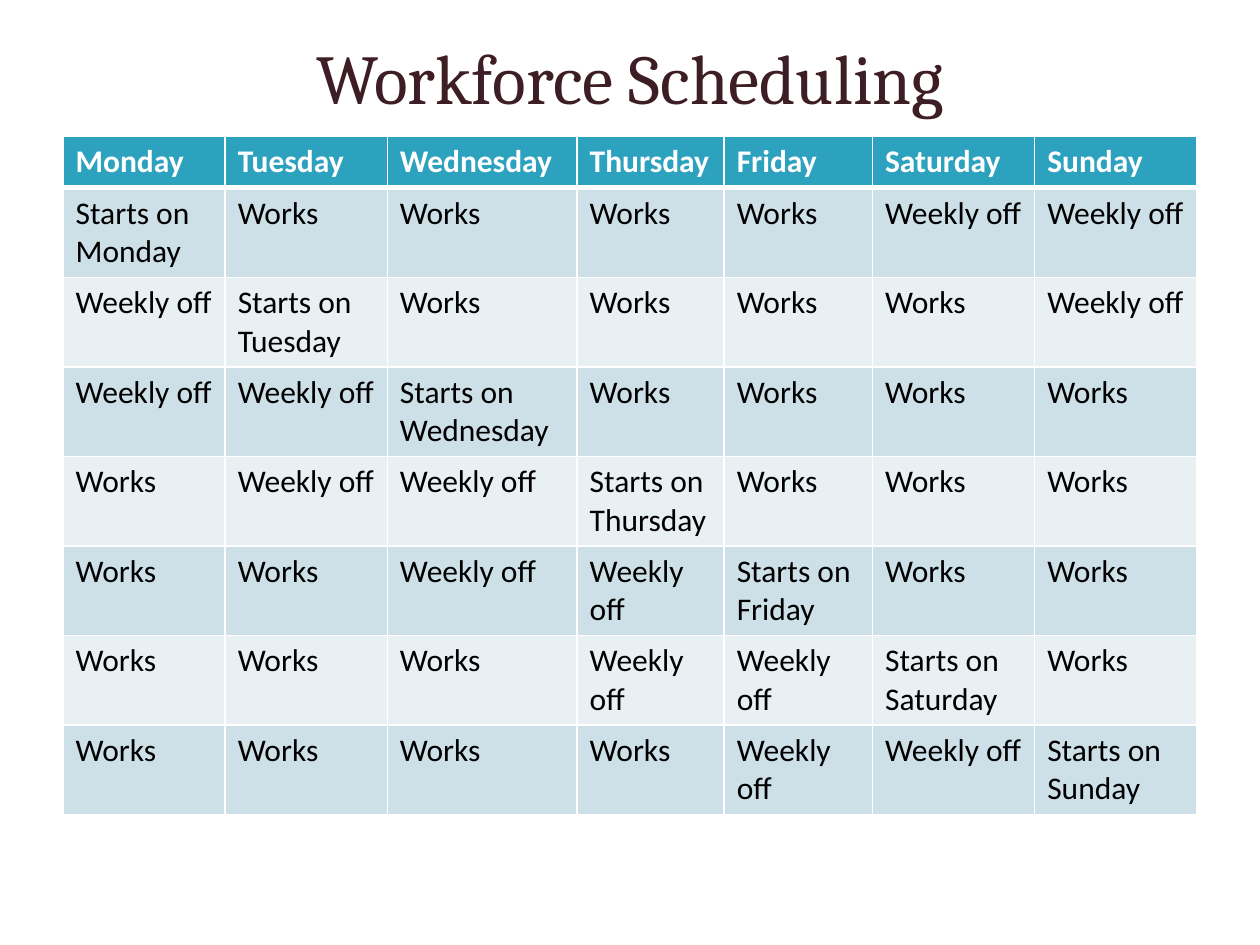
import lxml.etree
import pptx
import pptx.dml.color
import pptx.enum.text
import pptx.oxml.ns
import pptx.util

Inches = pptx.util.Inches
Pt = pptx.util.Pt

DAYS = ["Monday", "Tuesday", "Wednesday", "Thursday", "Friday", "Saturday", "Sunday"]
DAY_WIDTHS = [1.29, 1.29, 1.51, 1.17, 1.18, 1.29, 1.29]
ROW_HEIGHT = 0.41
HEADER_FILL = "2DA2BF"
BAND_FILLS = ["CDE0E8", "E8F0F4"]
WHITE = "FFFFFF"


def color(hex_value):
    return pptx.dml.color.RGBColor.from_string(hex_value)


def add_run(paragraph, text, font_name, size, hex_value, bold=False):
    run = paragraph.add_run()
    run.text = text
    run.font.name = font_name
    run.font.size = Pt(size)
    run.font.bold = bold
    run.font.color.rgb = color(hex_value)


def set_borders(cell, top, bottom):
    """White cell borders: 1 pt at the sides, given widths above and below."""
    properties = cell._tc.get_or_add_tcPr()
    qn = pptx.oxml.ns.qn
    for side, width in (("L", 1), ("R", 1), ("T", top), ("B", bottom)):
        line = lxml.etree.SubElement(properties, qn(f"a:ln{side}"), w=str(Pt(width)))
        fill = lxml.etree.SubElement(line, qn("a:solidFill"))
        lxml.etree.SubElement(fill, qn("a:srgbClr"), val=WHITE)


def shift_text(start_day, day):
    """Five working days from the starting day, then two days off."""
    days_in = (day - start_day) % len(DAYS)
    if days_in == 0:
        return f"Starts on {DAYS[day]}"
    return "Works" if days_in < 5 else "Weekly off"


def place_title(slide, left, top, width, height):
    title = slide.shapes.title
    title.left, title.top = Inches(left), Inches(top)
    title.width, title.height = Inches(width), Inches(height)
    frame = title.text_frame
    frame.auto_size = pptx.enum.text.MSO_AUTO_SIZE.NONE
    frame.vertical_anchor = pptx.enum.text.MSO_ANCHOR.MIDDLE
    heading = frame.paragraphs[0]
    heading.alignment = pptx.enum.text.PP_ALIGN.CENTER
    add_run(heading, "Workforce Scheduling", "Cambria", 40, "3E1E25")


def place_schedule(slide, left, top, width, height):
    frame = slide.shapes.add_table(
        len(DAYS) + 1, len(DAYS), Inches(left), Inches(top), Inches(width), Inches(height))
    schedule = frame.table
    for column, day_width in zip(schedule.columns, DAY_WIDTHS):
        column.width = Inches(day_width * width / sum(DAY_WIDTHS))
    for row in schedule.rows:
        row.height = Inches(ROW_HEIGHT)
    frame.height = Inches(height)

    shifts = [[shift_text(start, day) for day in range(len(DAYS))]
              for start in range(len(DAYS))]
    for row_index, texts in enumerate([DAYS] + shifts):
        is_header = row_index == 0
        fill = HEADER_FILL if is_header else BAND_FILLS[(row_index - 1) % 2]
        for day, text in enumerate(texts):
            cell = schedule.cell(row_index, day)
            set_borders(cell, top=3 if row_index == 1 else 1, bottom=3 if is_header else 1)
            cell.fill.solid()
            cell.fill.fore_color.rgb = color(fill)
            add_run(cell.text_frame.paragraphs[0], text, "Calibri", 18,
                    WHITE if is_header else "000000", is_header)


def main():
    deck = pptx.Presentation()
    deck.slide_width, deck.slide_height = Inches(10), Inches(7.5)
    slide = deck.slides.add_slide(deck.slide_layouts[5])
    slide.background.fill.solid()
    slide.background.fill.fore_color.rgb = color(WHITE)
    place_title(slide, 0.5, 0.3, 9, 0.62)
    place_schedule(slide, 0.5, 1.08, 9, 5.91)
    deck.save("out.pptx")


if __name__ == "__main__":
    main()
